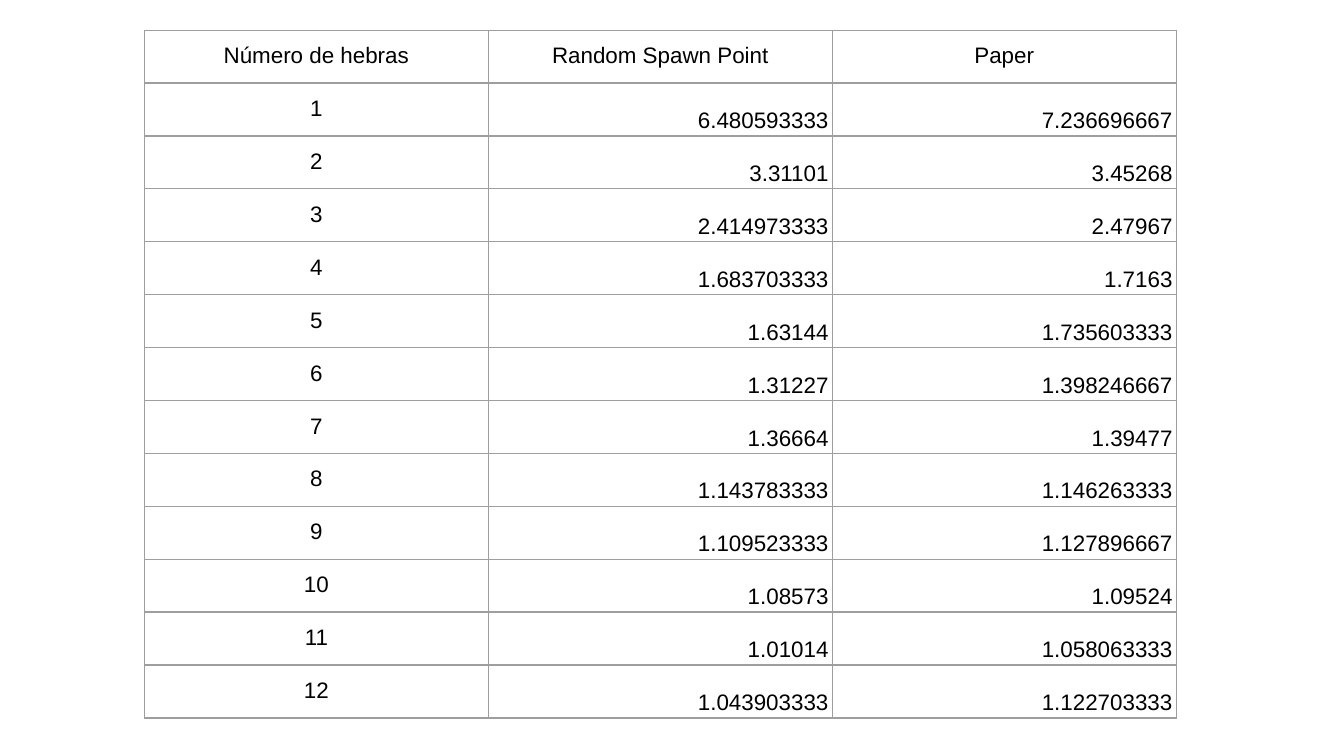
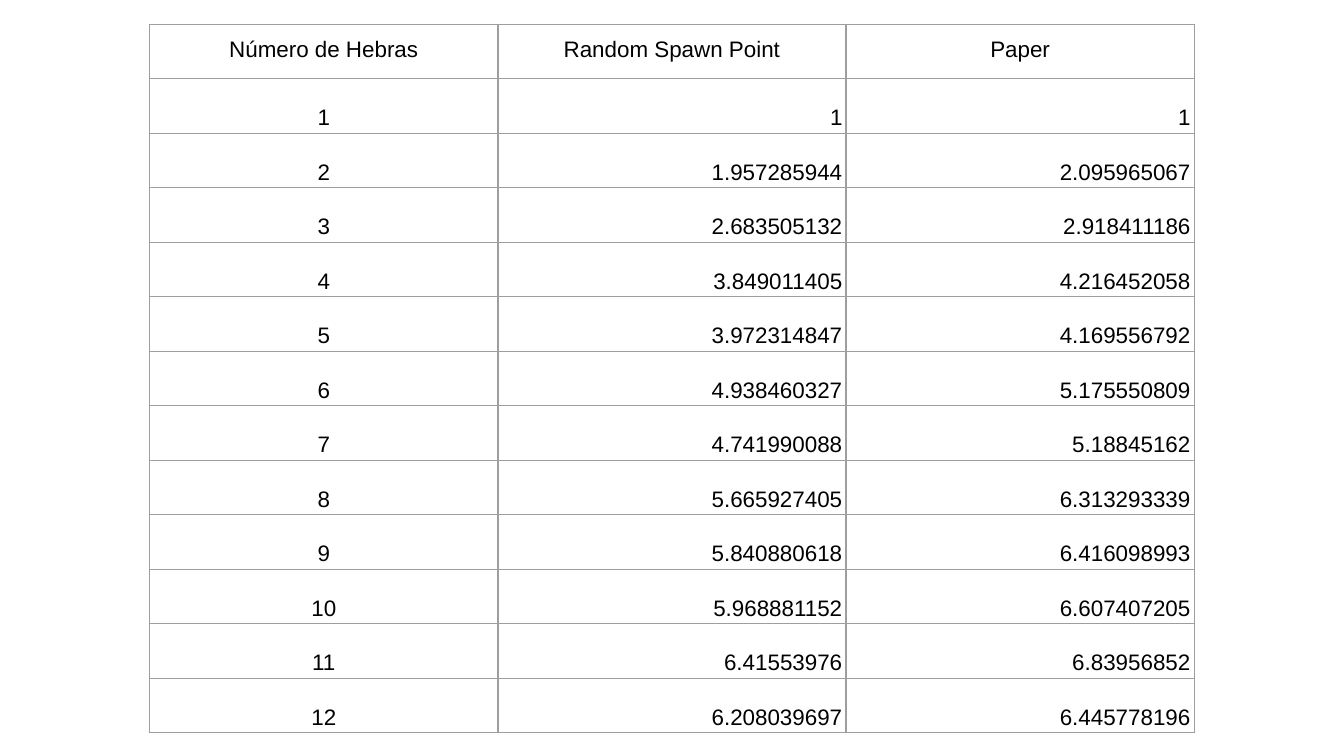
from lxml.etree import SubElement
from pptx import Presentation
from pptx.dml.color import RGBColor
from pptx.enum.text import MSO_ANCHOR as Anchor, PP_ALIGN as Align
from pptx.oxml.ns import qn
from pptx.util import Cm, Pt

FONT = "Arial"
INK = "000000"
PAPER_WHITE = "FFFFFF"
GRID = "9E9E9E"
GRID_WIDTH = Pt(0.75)

HEADING = dict(align=Align.CENTER, anchor=Anchor.TOP, inset=(0.25, 0.25))
FIGURE = dict(align=Align.RIGHT, anchor=Anchor.BOTTOM, inset=(0.07, 0.05))
LOW_COUNT = dict(FIGURE, align=Align.CENTER)

TIMES = [
    ("6.480593333", "7.236696667"),
    ("3.31101", "3.45268"),
    ("2.414973333", "2.47967"),
    ("1.683703333", "1.7163"),
    ("1.63144", "1.735603333"),
    ("1.31227", "1.398246667"),
    ("1.36664", "1.39477"),
    ("1.143783333", "1.146263333"),
    ("1.109523333", "1.127896667"),
    ("1.08573", "1.09524"),
    ("1.01014", "1.058063333"),
    ("1.043903333", "1.122703333"),
]

SPEEDUPS = [
    ("1", "1"),
    ("1.957285944", "2.095965067"),
    ("2.683505132", "2.918411186"),
    ("3.849011405", "4.216452058"),
    ("3.972314847", "4.169556792"),
    ("4.938460327", "5.175550809"),
    ("4.741990088", "5.18845162"),
    ("5.665927405", "6.313293339"),
    ("5.840880618", "6.416098993"),
    ("5.968881152", "6.607407205"),
    ("6.41553976", "6.83956852"),
    ("6.208039697", "6.445778196"),
]


def colour(hex_code):
    return RGBColor.from_string(hex_code)


def write(cell, text, align, anchor, inset, size=12, ink=INK):
    side, end = map(Cm, inset)
    cell.margin_left = cell.margin_right = side
    cell.margin_top = cell.margin_bottom = end
    cell.vertical_anchor = anchor
    paragraph = cell.text_frame.paragraphs[0]
    paragraph.alignment = align
    run = paragraph.add_run()
    run.text = text
    run.font.name = FONT
    run.font.size = Pt(size)
    run.font.color.rgb = colour(ink)


def outline(cell):
    properties = cell._tc.get_or_add_tcPr()
    for edge in ("a:lnL", "a:lnR", "a:lnT", "a:lnB"):
        line = SubElement(properties, qn(edge), w=str(GRID_WIDTH))
        solid = SubElement(line, qn("a:solidFill"))
        SubElement(solid, qn("a:srgbClr"), val=GRID)


def add_results(deck, count_title, results, left, top, column, row, count_format):
    slide = deck.slides.add_slide(deck.slide_layouts[6])
    slide.background.fill.solid()
    slide.background.fill.fore_color.rgb = colour(PAPER_WHITE)

    titles = (count_title, "Random Spawn Point", "Paper")
    counted = [(str(count), *pair) for count, pair in enumerate(results, 1)]
    lines = [titles, *counted]
    table = slide.shapes.add_table(
        len(lines), len(titles), Cm(left), Cm(top),
        Cm(column * len(titles)), Cm(row * len(lines)),
    ).table
    table.first_row = table.horz_banding = False
    for table_column in table.columns:
        table_column.width = Cm(column)

    for r, texts in enumerate(lines):
        table.rows[r].height = Cm(row)
        formats = (count_format, FIGURE, FIGURE) if r else (HEADING,) * 3
        for c, (text, look) in enumerate(zip(texts, formats)):
            cell = table.cell(r, c)
            write(cell, text, **look)
            outline(cell)
            cell.fill.background()


def main():
    deck = Presentation()
    deck.slide_width, deck.slide_height = Cm(25.4), Cm(14.29)
    add_results(deck, "Número de hebras", TIMES, left=2.73, top=0.57,
                column=6.5, row=1, count_format=HEADING)
    add_results(deck, "Número de Hebras", SPEEDUPS, left=2.83, top=0.46,
                column=6.58, row=1.03, count_format=LOW_COUNT)
    deck.save("out.pptx")


if __name__ == "__main__":
    main()
